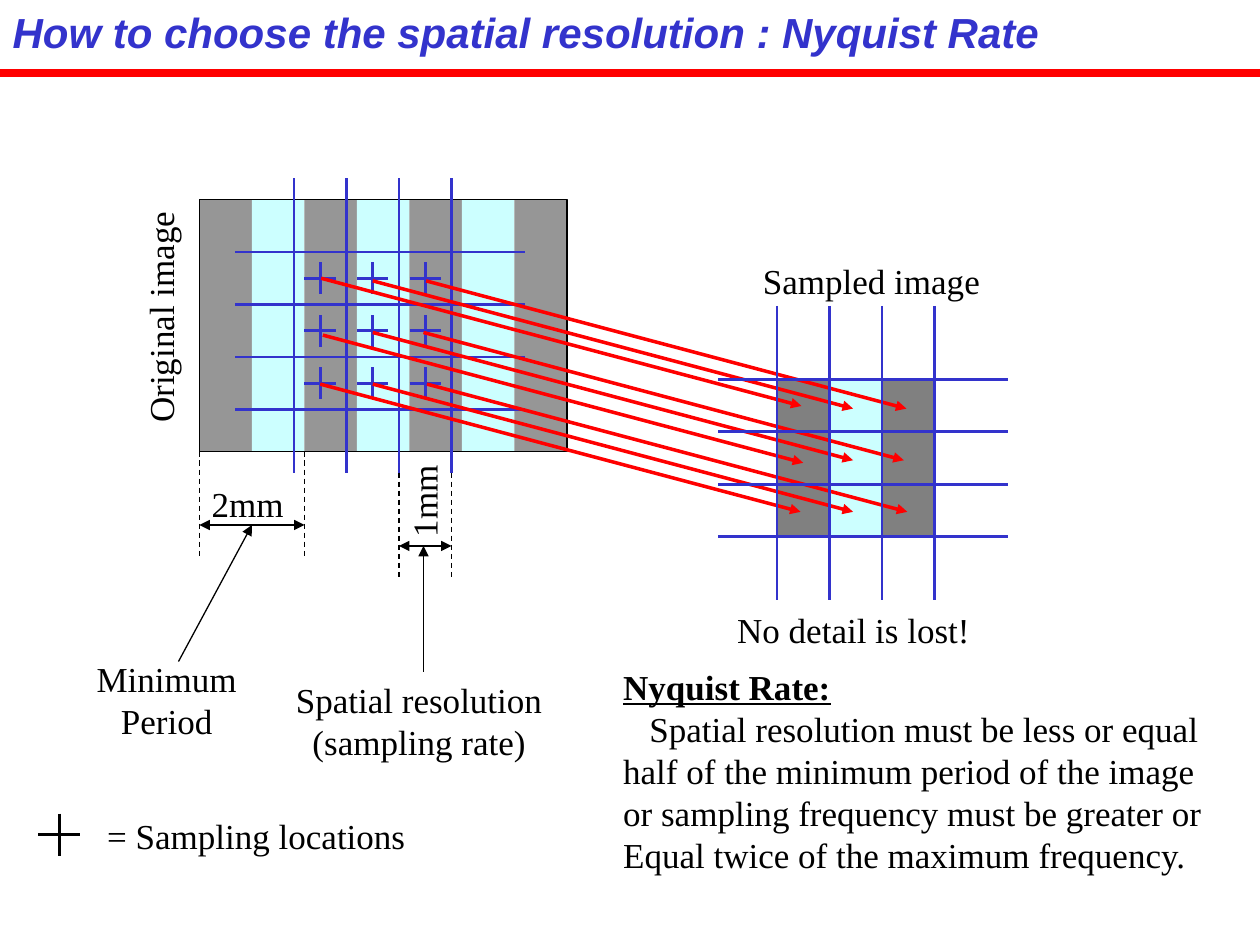
"""Build a slide explaining how the Nyquist rate sets spatial resolution."""
from lxml import etree
from pptx import Presentation
from pptx import util as u
from pptx.dml.color import RGBColor
from pptx.enum import dml, shapes, text
from pptx.oxml.ns import qn

BLUE, RED, BLACK = "3333CC", "FF0000", "000000"
DARK, LIGHT, SAMPLE_DARK = "969696", "CCFFFF", "808080"
CELL, CROSS = 30, 18
IMAGE = (114, 114, 210, 144)
GRID = (168, 144)
SAMPLED = (444, 216.75)
SAMPLED_SHIFT = (276, 72.75)
ARROW_SHIFT = (274.5, 73)
ARROW_STARTS = [
    (183.5, 159), (213, 160.5), (243.5, 160.5),
    (242, 190), (213, 190), (184.5, 191.5),
    (244, 219.5), (213, 219.5), (183, 219.5),
]
BODY = {"size": u.Pt(20), "name": "Times New Roman"}
HEADING = {"size": u.Pt(24), "name": "Arial", "bold": True, "italic": True}
EMPHASIS = {"bold": True, "underline": True}
TITLE = "How to choose the spatial resolution : Nyquist Rate"
TITLE_FRAME = (0, 0, 620, 36)
LABELS = [
    (["Original image"], (19.75, 165.5, 144, 31.5), 270),
    (["= Sampling locations"], (52, 462, 189, 31.5), 0),
    (["Minimum", "Period"], (46, 372, 98.5, 55.5), 0),
    (["Spatial resolution", "(sampling rate)"], (160, 384, 159, 55.5), 0),
    (["Sampled image"], (426, 144.5, 144, 31.5), 0),
    (["No detail is lost!"], (412, 344, 151.5, 31.5), 0),
    (["2mm"], (111.75, 272, 59.5, 31.5), 0),
    (["1mm"], (212.5, 270.75, 59.5, 31.5), 270),
]
RULE = [
    "Nyquist Rate:",
    "Spatial resolution must be less or equal",
    "half of the minimum period of the image",
    "or sampling frequency must be greater or",
    "Equal twice of the maximum frequency.",
]
RULE_FRAME = (349, 376.5, 350, 127.5)
DIMENSIONS = [(228, 258, 270, 330, 312), (114, 174, 258, 318, 300)]
POINTERS = [((102, 378), (144, 300)), ((242, 384), (242, 312))]


def color(value):
    return RGBColor.from_string(value)


def points(values):
    return [u.Pt(value) for value in values]


def add_line(slide, start, end, tint=BLUE, width=1.5, ends=(), dash=None):
    line = slide.shapes.add_connector(
        shapes.MSO_CONNECTOR.STRAIGHT, *points(start + end))
    line.line.color.rgb = color(tint)
    line.line.width = u.Pt(width)
    line.line.dash_style = dash
    outline = line.line._get_or_add_ln()
    for end_name in ends:
        etree.SubElement(outline, qn(f"a:{end_name}"), type="triangle")
    etree.SubElement(line._element.spPr, qn("a:effectLst"))


def add_rectangle(slide, frame, fill=None):
    box = slide.shapes.add_shape(shapes.MSO_SHAPE.RECTANGLE, *points(frame))
    box.shadow.inherit = False
    if fill:
        box.fill.solid()
        box.fill.fore_color.rgb = color(fill)
        box.line.fill.background()
    else:
        box.fill.background()
        box.line.color.rgb = color(BLACK)
        box.line.width = u.Pt(0.75)


def write(box, lines, font, tint, align):
    frame = box.text_frame
    frame.word_wrap = False
    frame.auto_size = text.MSO_AUTO_SIZE.SHAPE_TO_FIT_TEXT
    frame.vertical_anchor = text.MSO_ANCHOR.TOP
    frame.text = "\n".join(lines)
    for para in frame.paragraphs:
        para.alignment = align
        para.font.color.rgb = color(tint)
        for name, value in font.items():
            setattr(para.font, name, value)
    return frame.paragraphs


def add_text(slide, lines, frame, turn=0, align=text.PP_ALIGN.CENTER):
    box = slide.shapes.add_textbox(*points(frame))
    box.rotation = turn
    return write(box, lines, BODY, BLACK, align)


def add_cross(slide, x, y, size, tint=BLUE):
    half = size / 2
    add_line(slide, (x, y - half), (x, y + half), tint)
    add_line(slide, (x - half, y), (x + half, y), tint)


def add_grid(slide, dx=0, dy=0):
    left, top = GRID[0] + dx, GRID[1] + dy
    for step in range(4):
        x, y = left + step * CELL, top + step * CELL
        add_line(slide, (x, top - 42), (x, top + 126))
        add_line(slide, (left - 33.5, y), (left + 132, y))


def add_original(slide):
    left, top, width, height = IMAGE
    for band in range(width // CELL):
        add_rectangle(slide, (left + band * CELL, top, CELL, height),
                      LIGHT if band % 2 else DARK)
    add_rectangle(slide, IMAGE)
    add_grid(slide)
    for row in range(3):
        for column in range(3):
            add_cross(slide, GRID[0] + (column + 0.5) * CELL,
                      GRID[1] + (row + 0.5) * CELL, CROSS)


def add_sampled(slide):
    left, top = SAMPLED
    for row in range(3):
        for column in range(3):
            add_rectangle(
                slide, (left + column * CELL, top + row * CELL, CELL, CELL),
                LIGHT if column % 2 else SAMPLE_DARK)
    for x, y in ARROW_STARTS:
        add_line(slide, (x, y), (x + ARROW_SHIFT[0], y + ARROW_SHIFT[1]),
                 RED, 2, ["tailEnd"])
    add_grid(slide, *SAMPLED_SHIFT)


def add_dimensions(slide):
    for left, right, top, bottom, level in DIMENSIONS:
        for x in (left, right):
            add_line(slide, (x, top), (x, bottom), BLACK, 0.75,
                     dash=dml.MSO_LINE.DASH)
        add_line(slide, (left, level), (right, level), BLACK, 0.75,
                 ["headEnd", "tailEnd"])
    for start, end in POINTERS:
        add_line(slide, start, end, BLACK, 0.75, ["tailEnd"])


def add_rule(slide):
    paras = add_text(slide, RULE, RULE_FRAME, align=text.PP_ALIGN.LEFT)
    for name, value in EMPHASIS.items():
        setattr(paras[0].font, name, value)
    paras[1]._p.get_or_add_pPr().set("indent", str(u.Pt(15)))


def main():
    deck = Presentation()
    deck.slide_width, deck.slide_height = points((720, 540))
    slide = deck.slides.add_slide(deck.slide_layouts[5])
    title = slide.shapes.title
    title.left, title.top, title.width, title.height = points(TITLE_FRAME)
    write(title, [TITLE], HEADING, BLUE, text.PP_ALIGN.LEFT)
    add_line(slide, (0, 41.75), (720, 41.75), RED, 4.5)
    add_original(slide)
    add_cross(slide, 34, 477, 24, BLACK)
    add_sampled(slide)
    add_dimensions(slide)
    for label in LABELS:
        add_text(slide, *label)
    add_rule(slide)
    deck.save("out.pptx")


if __name__ == "__main__":
    main()
